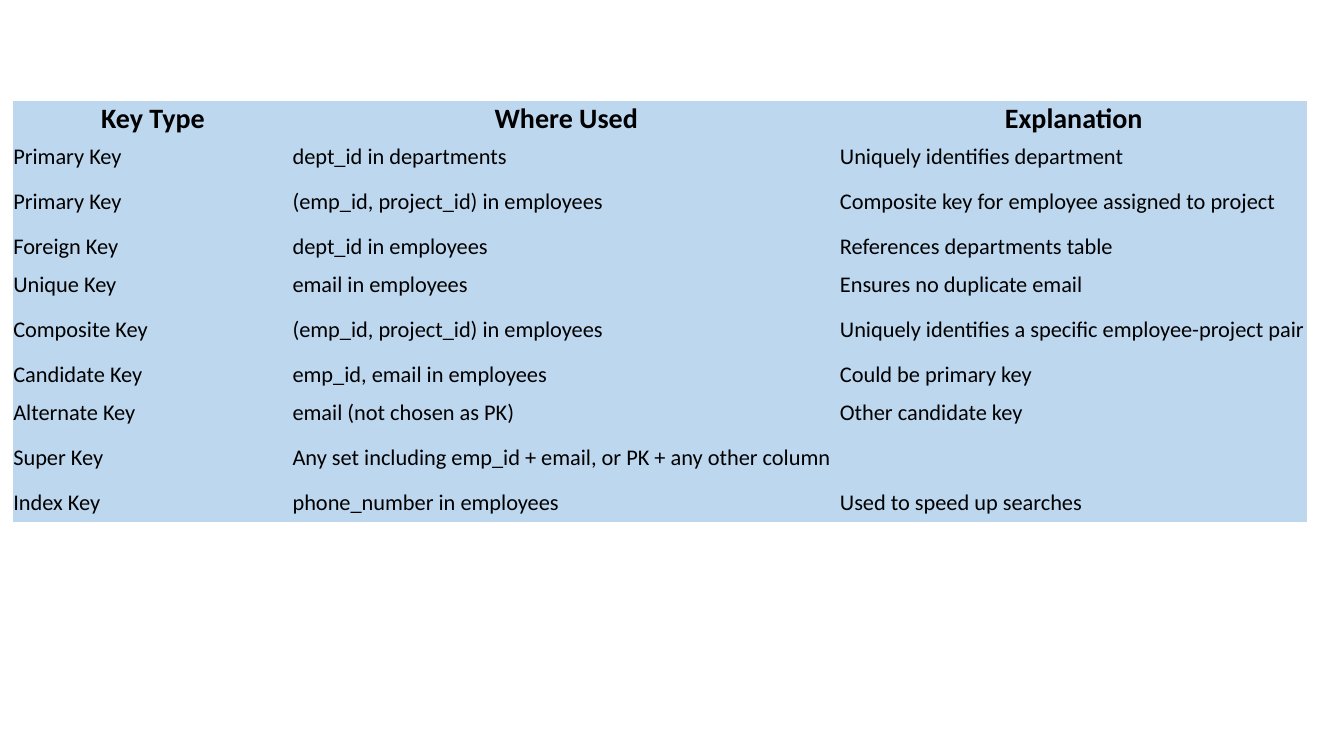
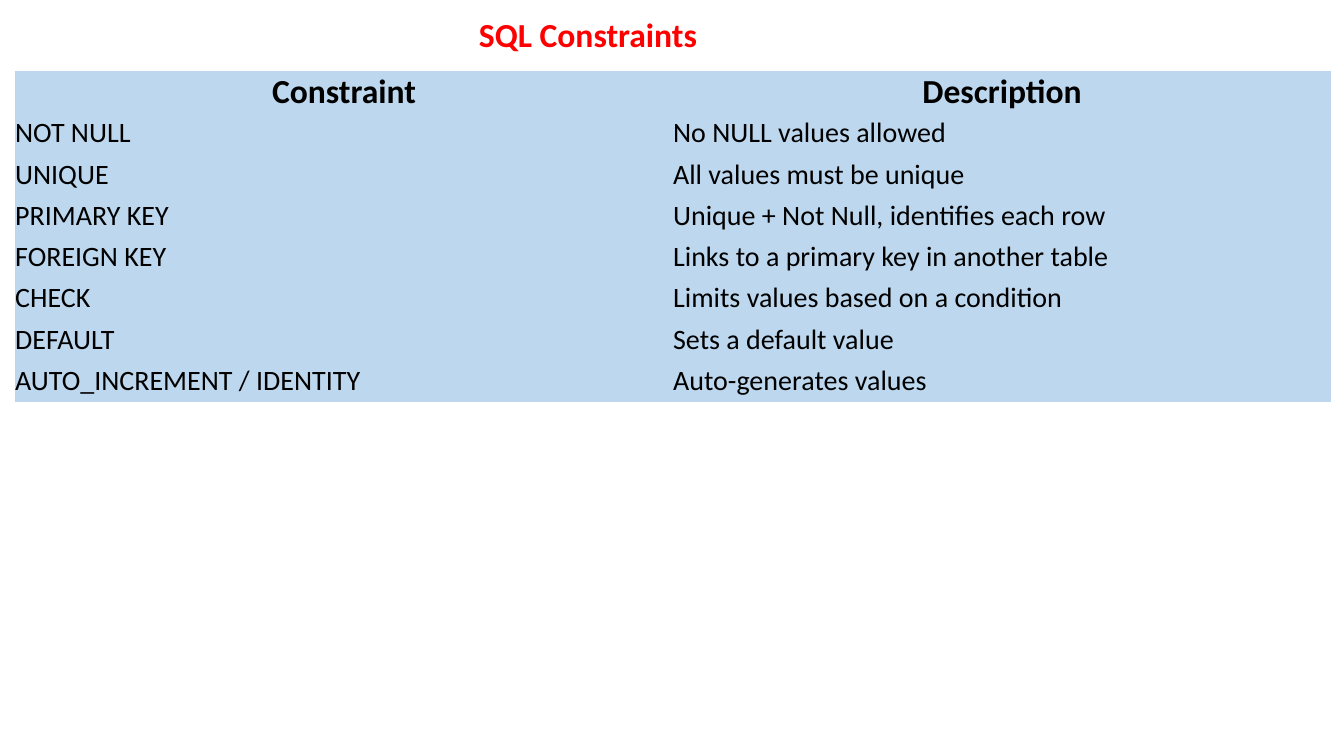
"""Build two slides with tables of SQL keys and constraints."""
from pptx import Presentation
from pptx.dml.color import RGBColor
from pptx.enum import text
from pptx.util import Pt

FONT = "Calibri"
COLORS = {"title": "FF0000", "text": "000000", "cell": "BDD7EE"}
NO_GRID_STYLE = "{2D5ABB26-0587-4C30-8999-92F81FD0307C}"
TITLE_ONLY, BLANK = 5, 6
LOW, TALL = 26.6, 38.2

SLIDES = [
    {
        "title": None,
        "at": (9.5, 72),
        "cols": [199.5, 391, 334],
        "heights": [LOW] + [LOW, TALL, LOW] * 3,
        "sizes": (20, 16),
        "rows": [
            ("Key Type", "Where Used", "Explanation"),
            ("Primary Key", "dept_id in departments", "Uniquely identifies department"),
            ("Primary Key", "(emp_id, project_id) in employees",
             "Composite key for employee assigned to project"),
            ("Foreign Key", "dept_id in employees", "References departments table"),
            ("Unique Key", "email in employees", "Ensures no duplicate email"),
            ("Composite Key", "(emp_id, project_id) in employees",
             "Uniquely identifies a specific employee-project pair"),
            ("Candidate Key", "emp_id, email in employees", "Could be primary key"),
            ("Alternate Key", "email (not chosen as PK)", "Other candidate key"),
            ("Super Key", "Any set including emp_id + email, or PK + any other column", ""),
            ("Index Key", "phone_number in employees", "Used to speed up searches"),
        ],
    },
    {
        "title": "SQL Constraints",
        "at": (10.8, 51),
        "cols": [470, 470],
        "heights": [29.5] * 8,
        "sizes": (24, 20),
        "rows": [
            ("Constraint", "Description"),
            ("NOT NULL", "No NULL values allowed"),
            ("UNIQUE", "All values must be unique"),
            ("PRIMARY KEY", "Unique + Not Null, identifies each row"),
            ("FOREIGN KEY", "Links to a primary key in another table"),
            ("CHECK", "Limits values based on a condition"),
            ("DEFAULT", "Sets a default value"),
            ("AUTO_INCREMENT / IDENTITY", "Auto-generates values"),
        ],
    },
]


def style(p, size, color, bold, align):
    p.alignment = align
    p.font.name = FONT
    p.font.size = Pt(size)
    p.font.bold = bold
    p.font.color.rgb = RGBColor.from_string(COLORS[color])


def add_title(s, title):
    sp = s.shapes.title
    sp.left, sp.top, sp.width, sp.height = Pt(60), Pt(8), Pt(720), Pt(34.5)
    tf = sp.text_frame
    tf.text = title
    tf.vertical_anchor = text.MSO_ANCHOR.BOTTOM
    p = tf.paragraphs[0]
    p.line_spacing = 0.9
    style(p, 24, "title", True, text.PP_ALIGN.CENTER)


def fill_cell(cell, words, size, header):
    cell.margin_left = cell.margin_right = cell.margin_top = cell.margin_bottom = 0
    cell.vertical_anchor = text.MSO_ANCHOR.MIDDLE
    cell.fill.solid()
    cell.fill.fore_color.rgb = RGBColor.from_string(COLORS["cell"])
    cell.text = words
    align = text.PP_ALIGN.CENTER if header else text.PP_ALIGN.LEFT
    style(cell.text_frame.paragraphs[0], size, "text", header, align)


def add_table(s, at, cols, heights, sizes, rows):
    left, top = at
    frame = s.shapes.add_table(len(rows), len(cols), Pt(left), Pt(top),
                               Pt(sum(cols)), Pt(sum(heights)))
    frame._element.xpath(".//a:tableStyleId")[0].text = NO_GRID_STYLE
    table = frame.table
    table.horz_banding = False
    for column, width in zip(table.columns, cols):
        column.width = Pt(width)
    for i, (row, height, words) in enumerate(zip(table.rows, heights, rows)):
        row.height = Pt(height)
        header = i == 0
        for cell, entry in zip(row.cells, words):
            fill_cell(cell, entry, sizes[0 if header else 1], header)


def main():
    prs = Presentation()
    prs.slide_width, prs.slide_height = Pt(960), Pt(540)
    for content in SLIDES:
        title = content["title"]
        s = prs.slides.add_slide(prs.slide_layouts[TITLE_ONLY if title else BLANK])
        if title:
            add_title(s, title)
        add_table(s, content["at"], content["cols"], content["heights"],
                  content["sizes"], content["rows"])
    prs.save("out.pptx")


if __name__ == "__main__":
    main()
